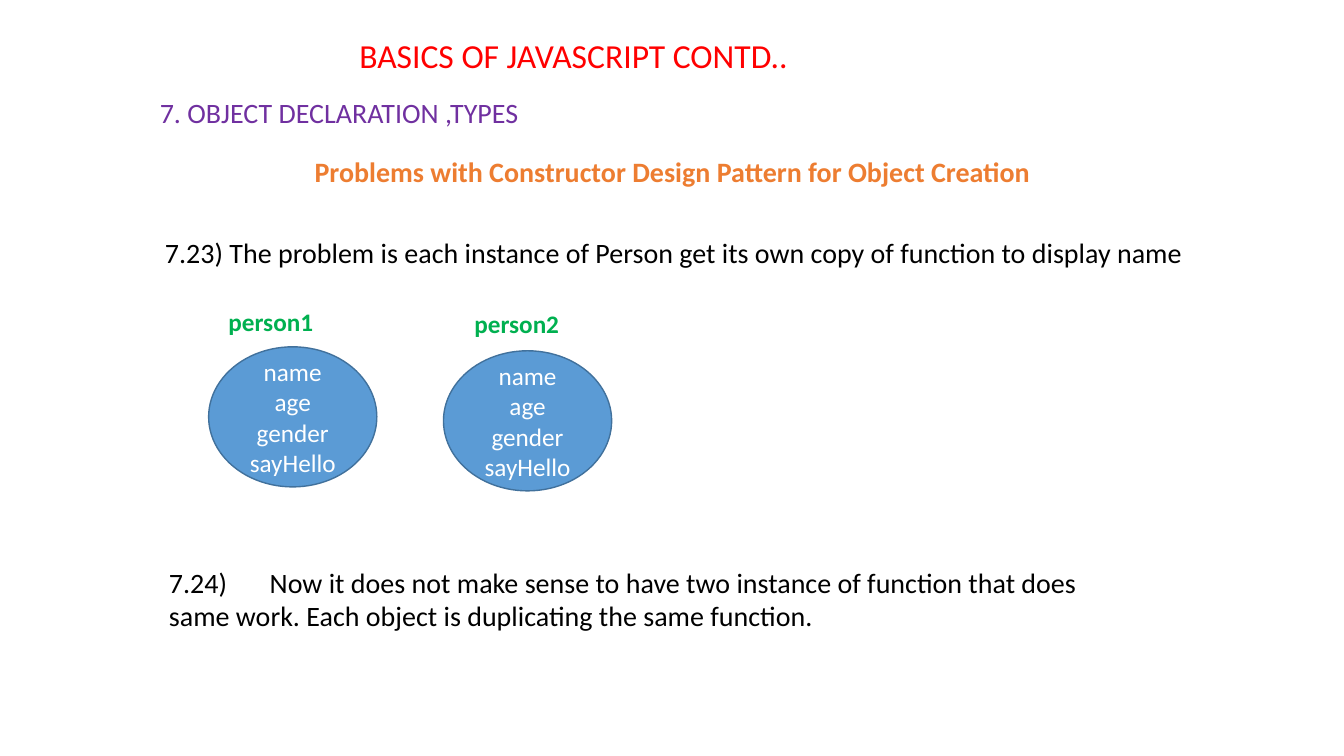
from pptx import Presentation
from pptx import util as u
from pptx.dml.color import RGBColor
from pptx.enum import shapes, text
from pptx.oxml.ns import qn
from lxml import etree

COLORS = {"title": "FF0000", "section": "7030A0", "heading": "ED7D31", "body": "000000",
          "label": "00B050", "fill": "5B9BD5", "line": "41719C", "inside": "FFFFFF"}
INSET = 0.25

# Text lines: wording, box (left, top, width, height) in cm, left inset, format
LINES = [
    ("BASICS OF JAVASCRIPT CONTD..", (8.81, 0.76, 12.62, 1.27), INSET,
     {"size": 24, "color": "title"}),
    ("7. OBJECT DECLARATION ,TYPES", (2.51, 2.29, 12.29, 1.12), 1.52,
     {"size": 20, "color": "section"}),
    ("Problems with Constructor Design Pattern for Object Creation",
     (4.95, 3.78, 23.37, 1.12), 2.98, {"size": 20, "color": "heading", "bold": True}),
    ("7.23) The problem is each instance of Person get its own copy of function to display name",
     (3.91, 5.82, 27.81, 1.12), INSET, {"size": 20, "color": "body"}),
    ("7.24)\tNow it does not make sense to have two instance of function that does "
     "same work. Each object is duplicating the same function.",
     (4.01, 14.12, 23.72, 1.96), INSET, {"size": 20, "color": "body"}),
]

# Objects: label, label position, ellipse position
MEMBERS = ["name", "age", "gender", "sayHello"]
PERSONS = [("person1", (5.51, 7.59), (5.26, 8.74)),
           ("person2", (11.71, 7.65), (11.18, 8.84))]
LABEL_SIZE = (2.95, 1.02)
ELLIPSE_SIZE = (4.24, 3.53)
LABEL_FORMAT = {"size": 18, "color": "label", "bold": True}
MEMBER_FORMAT = {"size": 18, "color": "inside"}


def rgb(name):
    return RGBColor.from_string(COLORS[name])


def cm(box):
    return [u.Cm(v) for v in box]


def write(tf, lines, fmt, inset=INSET, align=text.PP_ALIGN.LEFT):
    tf.word_wrap = True
    tf.margin_left = u.Cm(inset)
    for i, line in enumerate(lines):
        p = tf.paragraphs[0] if i == 0 else tf.add_paragraph()
        p.alignment = align
        if "\t" in line:
            tabs = etree.SubElement(p._p.get_or_add_pPr(), qn("a:tabLst"))
            etree.SubElement(tabs, qn("a:tab"), pos=str(u.Cm(2.54)), algn="l")
        r = p.add_run()
        r.text = line
        values = {"name": "Calibri", "size": u.Pt(fmt["size"]), "bold": fmt.get("bold", False)}
        for key, value in values.items():
            setattr(r.font, key, value)
        r.font.color.rgb = rgb(fmt["color"])


def add_text(s, line, box, inset, fmt):
    write(s.shapes.add_textbox(*cm(box)).text_frame, [line], fmt, inset)


def add_ellipse(s, box):
    sp = s.shapes.add_shape(shapes.MSO_SHAPE.OVAL, *cm(box))
    sp.shadow.inherit = False
    sp.fill.solid()
    sp.fill.fore_color.rgb = rgb("fill")
    sp.line.color.rgb = rgb("line")
    sp.line.width = u.Pt(1)
    sp.text_frame.vertical_anchor = text.MSO_ANCHOR.MIDDLE
    write(sp.text_frame, MEMBERS, MEMBER_FORMAT, align=text.PP_ALIGN.CENTER)


def main():
    prs = Presentation()
    prs.slide_width, prs.slide_height = cm((33.88, 19.05))
    s = prs.slides.add_slide(prs.slide_layouts[6])

    # Headings and statements
    for line in LINES:
        add_text(s, *line)

    # The two objects with their members
    for name, label_at, ellipse_at in PERSONS:
        add_ellipse(s, ellipse_at + ELLIPSE_SIZE)
        add_text(s, name, label_at + LABEL_SIZE, INSET, LABEL_FORMAT)

    prs.save("out.pptx")


if __name__ == "__main__":
    main()
